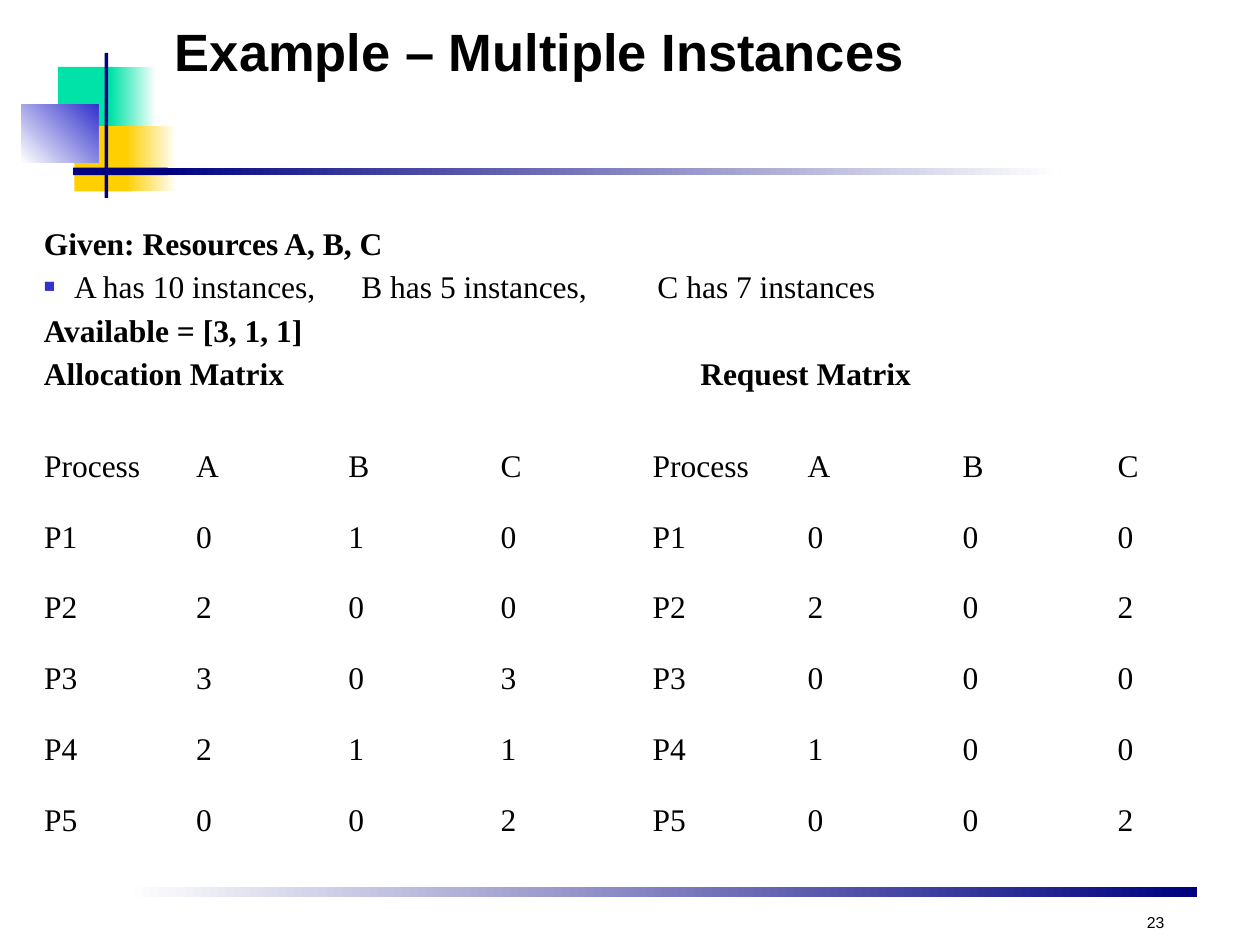
"""Build a slide on deadlock detection with multiple resource instances."""
from lxml import etree
from pptx import Presentation
from pptx.dml.color import RGBColor
from pptx.enum.shapes import MSO_SHAPE
from pptx.enum.text import MSO_ANCHOR, PP_ALIGN
from pptx.oxml.ns import qn
from pptx.util import Inches, Pt

RECT = MSO_SHAPE.RECTANGLE
TOP, MIDDLE, BOTTOM = MSO_ANCHOR.TOP, MSO_ANCHOR.MIDDLE, MSO_ANCHOR.BOTTOM
LEFT, RIGHT = PP_ALIGN.LEFT, PP_ALIGN.RIGHT
SANS, SERIF = "Arial", "Times New Roman"
COLORS = {"navy": "000080", "green": "00E3A8", "gold": "FFCF01",
          "blue": "3333CC", "white": "FFFFFF", "black": "000000"}

TITLE = "Example – Multiple Instances"
NUMBER = "23"
BARS = [
    ((1, 7.04, 8.5, 0.08), ("white", "navy"), 0),
    ((0.46, 0.53, 0.48, 0.52), ("green",), 0),
    ((0.88, 0.53, 0.36, 0.52), ("green", "white"), 0),
    ((0.59, 1, 0.46, 0.52), ("gold",), 0),
    ((1, 1, 0.4, 0.52), ("gold", "white"), 0),
    ((0.17, 0.83, 0.61, 0.46), ("white", "blue"), 45),
    ((0.83, 0.42, 0.03, 1.15), ("navy",), 0),
    ((0.58, 1.33, 0.75, 0.06), ("navy",), 0),
    ((1.25, 1.33, 7.16, 0.06), ("navy", "white"), 0),
]
LINES = [
    {"text": "Given: Resources A, B, C", "bold": True},
    {"text": "A has 10 instances,\tB has 5 instances,\tC has 7 instances",
     "bullet": "■", "tabs": (2.52, 4.87)},
    {"text": "Available = [3, 1, 1]", "bold": True},
    {"text": "Allocation Matrix\tRequest Matrix", "bold": True, "tabs": (5.21,)},
]
HEAD = ("Process", "A", "B", "C")
TABLES = [
    (0.25, 4.83, ["010", "200", "303", "211", "002"]),
    (5.08, 4.92, ["000", "202", "000", "100", "002"]),
]
TABLE_TOP, TABLE_TALL = 3.42, 3.38


def rgb(name):
    return RGBColor.from_string(COLORS[name])


def add_bar(slide, box, names, angle):
    bar = slide.shapes.add_shape(RECT, *map(Inches, box))
    bar.shadow.inherit = False
    bar.line.fill.background()
    if len(names) == 1:
        bar.fill.solid()
        bar.fill.fore_color.rgb = rgb(names[0])
        return
    bar.fill.gradient()
    bar.fill.gradient_angle = angle
    for stop, name in zip(bar.fill.gradient_stops, names):
        stop.color.rgb = rgb(name)


def add_run(para, text, size, face, bold=False):
    run = para.add_run()
    run.text = text
    font = run.font
    font.size, font.name, font.bold = Pt(size), face, bold
    font.color.rgb = rgb("black")


def add_box(slide, box, anchor=TOP):
    frame = slide.shapes.add_textbox(*map(Inches, box)).text_frame
    frame.word_wrap = True
    frame.vertical_anchor = anchor
    return frame


def add_part(parent, tag, **attrs):
    return etree.SubElement(parent, qn("a:" + tag), attrs)


def set_layout(para, line):
    props = para._p.get_or_add_pPr()
    if "bullet" in line:
        indent = Inches(0.24)
        props.set("marL", str(indent))
        props.set("indent", str(-indent))
        add_part(add_part(props, "buClr"), "srgbClr", val=COLORS["blue"])
        add_part(props, "buSzPct", val="60000")
        add_part(props, "buFont", typeface=SANS)
        add_part(props, "buChar", char=line["bullet"])
    if "tabs" in line:
        stops = add_part(props, "tabLst")
        for pos in line["tabs"]:
            add_part(stops, "tab", pos=str(Inches(pos)), algn="l")


def add_lines(slide):
    frame = add_box(slide, (0.25, 1.73, 9.54, 1.5))
    for i, line in enumerate(LINES):
        para = frame.add_paragraph() if i else frame.paragraphs[0]
        set_layout(para, line)
        if i:
            para.space_before = Pt(3.1)
        add_run(para, line["text"], 18, SERIF, line.get("bold", False))


def add_matrix(slide, left, width, counts):
    rows = [HEAD] + [(f"P{i}", *row) for i, row in enumerate(counts, 1)]
    box = (left, TABLE_TOP, width, TABLE_TALL)
    table = slide.shapes.add_table(len(rows), len(HEAD), *map(Inches, box)).table
    table.first_row = table.horz_banding = False
    for r, row in enumerate(rows):
        for c, text in enumerate(row):
            cell = table.cell(r, c)
            cell.fill.background()
            cell.vertical_anchor = MIDDLE
            add_run(cell.text_frame.paragraphs[0], text, 18, SERIF)


def add_label(slide, box, text, size, bold, align):
    para = add_box(slide, box, BOTTOM).paragraphs[0]
    para.alignment = align
    add_run(para, text, size, SANS, bold)


def main():
    deck = Presentation()
    deck.slide_width, deck.slide_height = Inches(10), Inches(7.5)
    slide = deck.slides.add_slide(deck.slide_layouts[6])
    for bar in BARS:
        add_bar(slide, *bar)
    add_label(slide, (1.29, 0.12, 8.5, 0.58), TITLE, 30, True, LEFT)
    add_lines(slide)
    add_label(slide, (8.92, 7.17, 0.42, 0.27), NUMBER, 9, False, RIGHT)
    for matrix in TABLES:
        add_matrix(slide, *matrix)
    deck.save("out.pptx")


if __name__ == "__main__":
    main()
